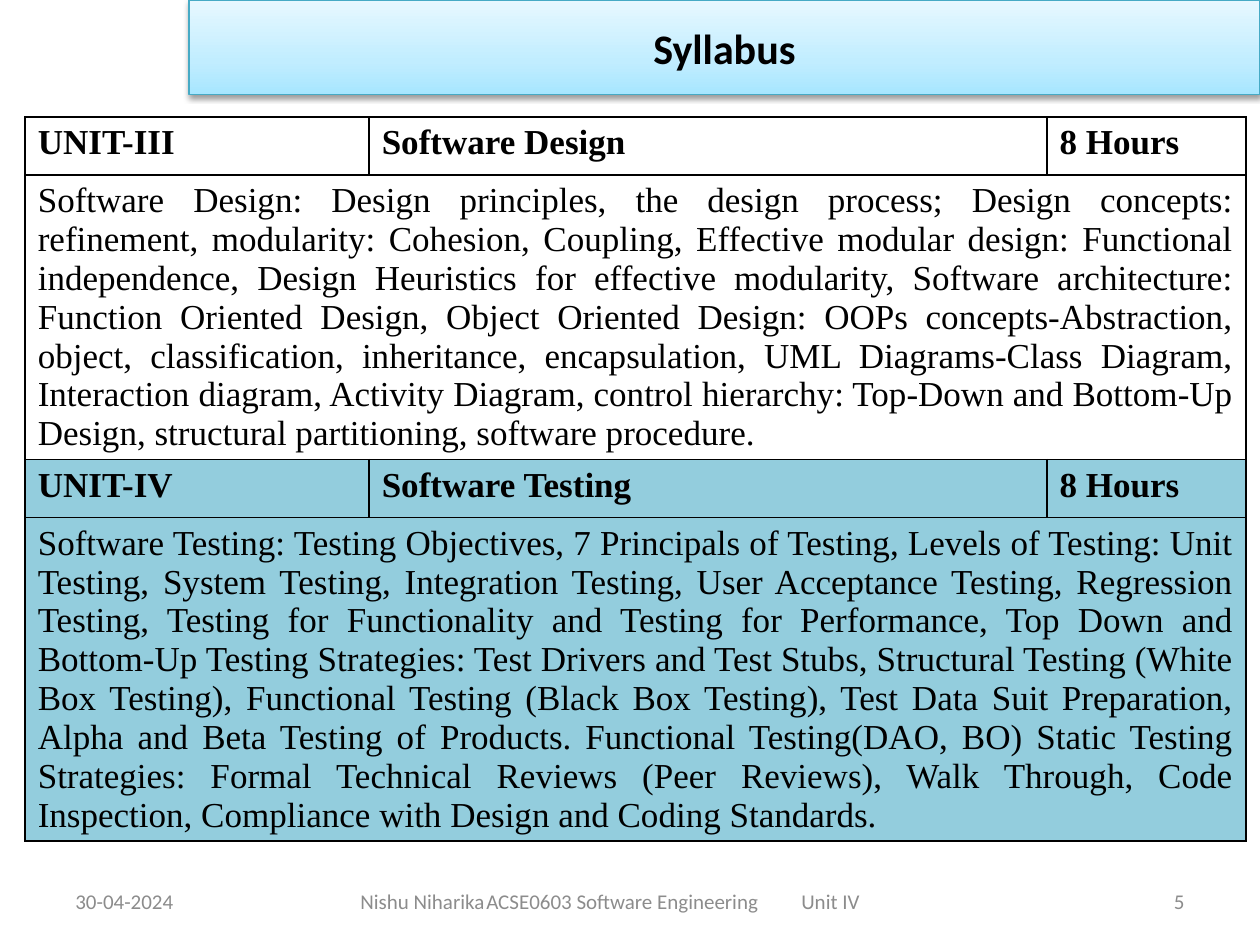
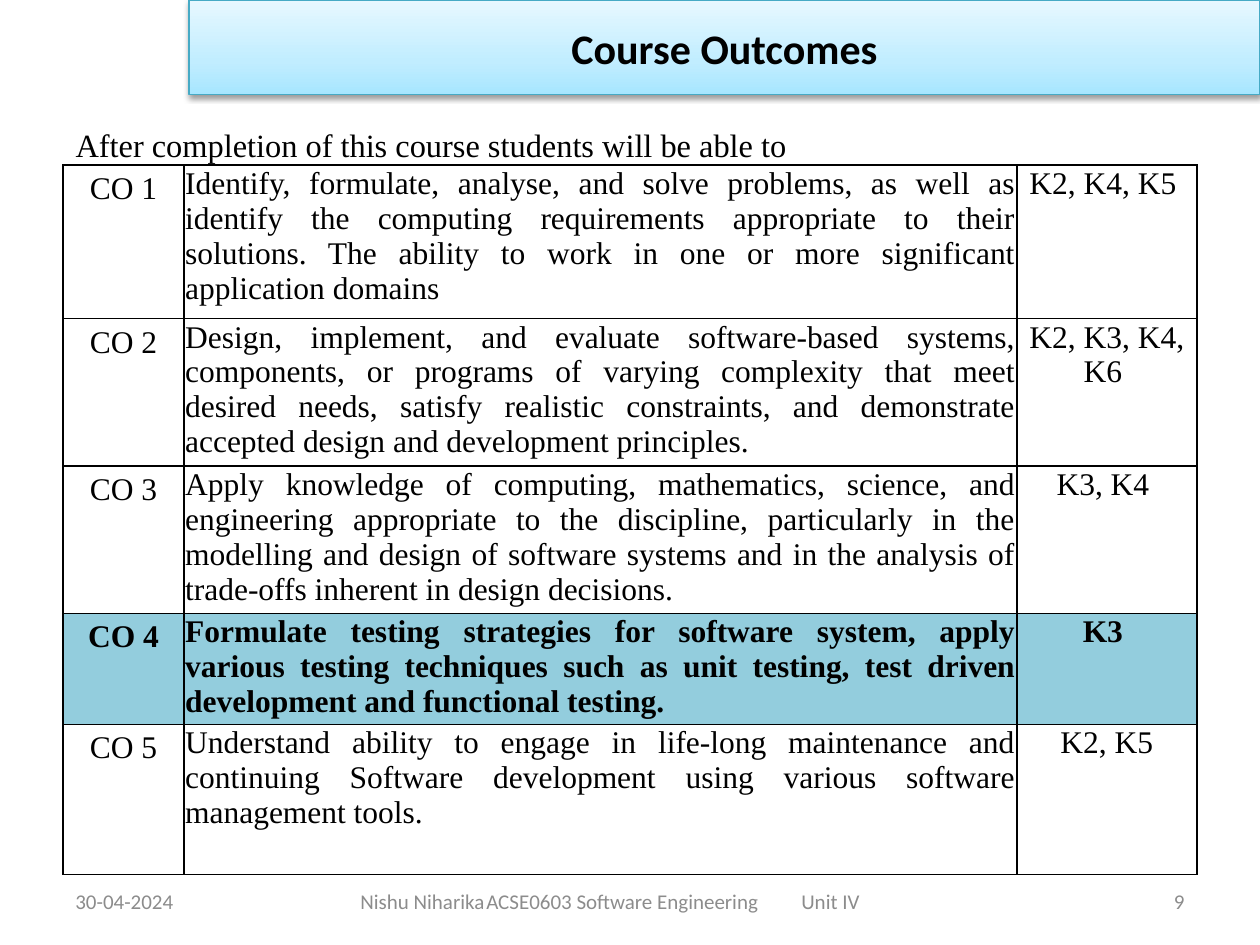
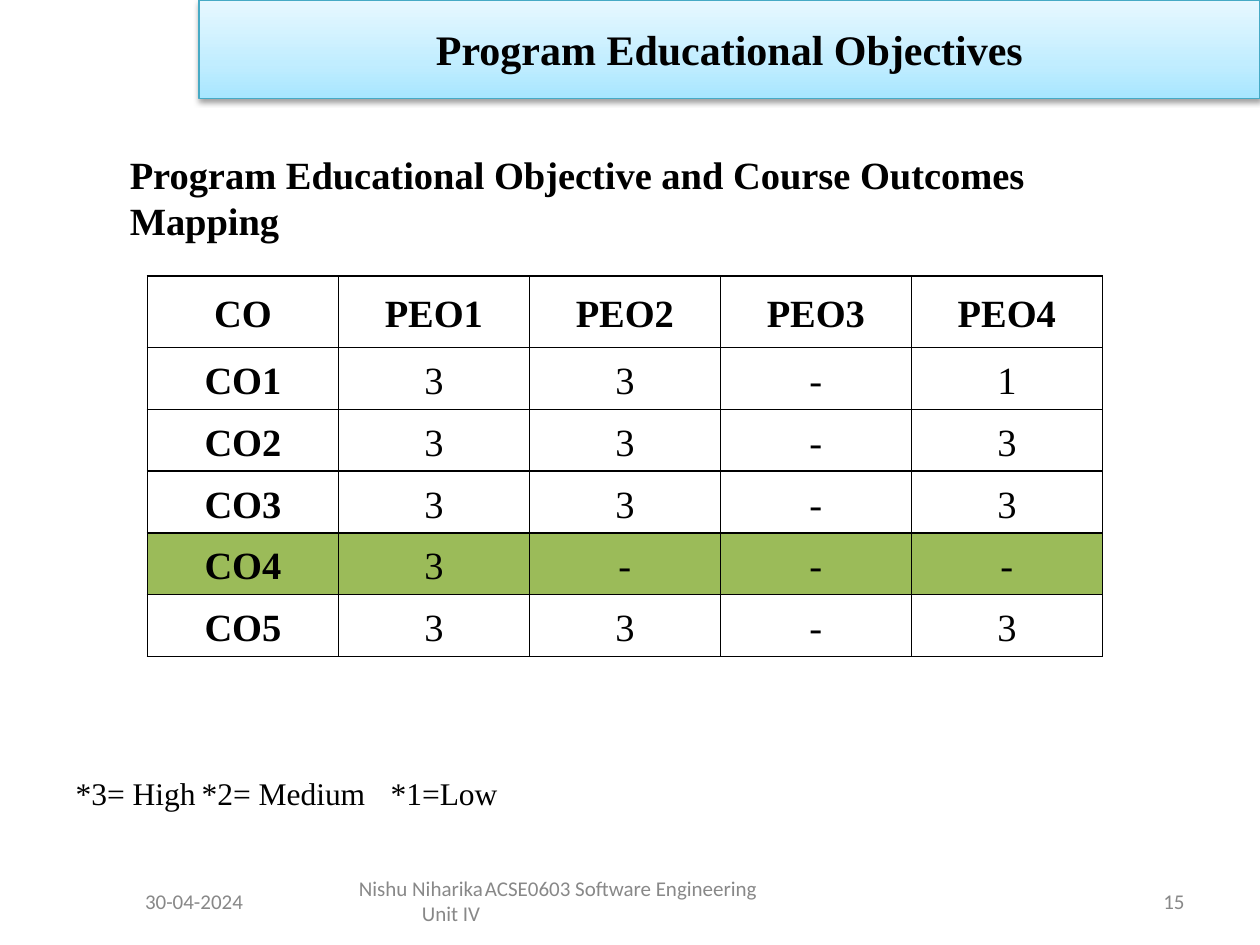
"""Build three course slides: syllabus, course outcomes and objectives mapping."""
from pptx import Presentation, util as u
from pptx.dml.color import RGBColor
from pptx.enum import text
from pptx.oxml import parse_xml
from pptx.oxml.ns import nsdecls

SERIF, SANS = "Times New Roman", "Calibri"
BLACK, WHITE, GREY, TEAL, GREEN = "000000", "FFFFFF", "8C8C8C", "93CDDD", "9BBB59"
BAND_STOPS = [(0, "A7E6FF"), (35, "C1EDFF"), (100, "E7F8FF")]
BAND_LINE = "46AAC5"
COLUMNS, ROWS = 100, 75
LEFT, CENTER, RIGHT, JUSTIFY = (text.PP_ALIGN.LEFT, text.PP_ALIGN.CENTER,
                                text.PP_ALIGN.RIGHT, text.PP_ALIGN.JUSTIFY)
TOP, MIDDLE = text.MSO_ANCHOR.TOP, text.MSO_ANCHOR.MIDDLE
INSETS = (0.1, 0.05, 0.1, 0.05)
TIGHT = (0.01, 0.01, 0.01, 0)


def rgb(value):
    return RGBColor.from_string(value)


def element(tag, attributes="", inner=""):
    return parse_xml(f"<a:{tag} {nsdecls('a')} {attributes}>{inner}</a:{tag}>")


def solid(colour, inner=""):
    return f'<a:srgbClr val="{colour}">{inner}</a:srgbClr>'


def write(tf, content, size=18, font=SERIF, colour=BLACK, bold=False, align=LEFT,
          spacing=None, tabs=()):
    """Fill a text frame, one paragraph for each line of content."""
    for i, line in enumerate(content.split("\n")):
        p = tf.paragraphs[0] if i == 0 else tf.add_paragraph()
        pPr = p._p.get_or_add_pPr()
        pPr.set("marL", "0")
        pPr.set("indent", "0")
        pPr.append(element("buNone"))
        if tabs:
            stops = "".join(f'<a:tab pos="{u.Inches(t)}" algn="l"/>' for t in tabs)
            pPr.append(element("tabLst", inner=stops))
        p.alignment, p.space_before = align, u.Pt(0)
        if spacing:
            p.line_spacing = spacing
        r = p.add_run()
        r.text = line
        r.font.size, r.font.name, r.font.bold = u.Pt(size), font, bold
        r.font.color.rgb = rgb(colour)


class Deck:
    """Shared style and the slide being built, on a grid of 100 columns by 75 rows."""

    def __init__(self):
        self.prs = Presentation()
        self.prs.slide_width, self.prs.slide_height = u.Inches(10), u.Inches(7.5)
        self.col = self.prs.slide_width / COLUMNS
        self.row = self.prs.slide_height / ROWS

    def slide(self, layout="Title Only"):
        self.s = self.prs.slides.add_slide(self.prs.slide_layouts.get_by_name(layout))

    def box(self, at):
        x, y, w, h = at
        return [round(v) for v in (x * self.col, y * self.row, w * self.col, h * self.row)]

    def fill_frame(self, sp, content, anchor=MIDDLE, insets=INSETS, **fmt):
        tf = sp.text_frame
        tf.word_wrap, tf.auto_size = True, text.MSO_AUTO_SIZE.NONE
        tf.vertical_anchor = anchor
        tf.margin_left, tf.margin_top, tf.margin_right, tf.margin_bottom = map(u.Inches, insets)
        write(tf, content, **fmt)

    def text(self, at, content, **fmt):
        self.fill_frame(self.s.shapes.add_textbox(*self.box(at)), content, **fmt)

    def placeholder(self, sp, at, content, **fmt):
        sp.left, sp.top, sp.width, sp.height = self.box(at)
        self.fill_frame(sp, content, **fmt)

    def title(self, content, at=(15, 0, 85, 7.5), font=SANS):
        sp = self.s.shapes.title
        self.placeholder(sp, at, content, size=24, font=font, bold=True, align=CENTER)
        stops = "".join(f'<a:gs pos="{pos * 1000}">{solid(c)}</a:gs>' for pos, c in BAND_STOPS)
        spPr = sp._element.spPr
        spPr.append(element("prstGeom", 'prst="rect"', "<a:avLst/>"))
        spPr.append(element("gradFill", 'rotWithShape="1"',
                            f'<a:gsLst>{stops}</a:gsLst><a:lin ang="16200000" scaled="0"/>'))
        sp.line.color.rgb, sp.line.width = rgb(BAND_LINE), u.Pt(0.75)
        shade = solid(BLACK, '<a:alpha val="38000"/>')
        spPr.append(element("effectLst", inner='<a:outerShdw blurRad="40000" dist="20000" '
                            f'dir="5400000" rotWithShape="0">{shade}</a:outerShdw>'))

    def body(self, at, content, **fmt):
        self.placeholder(self.s.placeholders[1], at, content, anchor=TOP, **fmt)

    def footer(self, number, wide=True):
        style = dict(size=12, font=SANS, colour=GREY if wide else "888888")
        course = "Nishu Niharika\tACSE0603 Software Engineering"
        y, h = 69.5, 4
        if wide:
            self.text((5, y, 23.3, h), "30-04-2024", **style)
            self.text((27.5, y, 55, h), course + "\tUnit IV", insets=(0.11, 0.05, 0.1, 0.05),
                      tabs=(1.44, 4.57), **style)
        else:
            self.text((-2.5, y, 35.8, h), "30-04-2024", align=CENTER, **style)
            self.text((27.5, y, 45.8, h), course + "\n\tUnit IV", tabs=(0.19, 1.43), **style)
        self.text((71.7, y, 23.3, h), str(number), align=RIGHT, **style)

    def table(self, at, widths, heights, data, look):
        """Add a table; a one-item row spans it, and look(row, column) gives a cell's format."""
        x, y = at
        frame = self.s.shapes.add_table(len(heights), len(widths),
                                        *self.box((x, y, sum(widths), sum(heights))))
        table = frame.table
        table.first_row = table.horz_banding = False
        for column, w in zip(table.columns, widths):
            column.width = round(w * self.col)
        for row, h in zip(table.rows, heights):
            row.height = round(h * self.row)
        for i, values in enumerate(data):
            if len(values) == 1:
                table.cell(i, 0).merge(table.cell(i, len(widths) - 1))
            for j in range(len(widths)):
                value = values[j] if j < len(values) else None
                self.cell(table.cell(i, j), value, **look(i, j))

    def cell(self, cell, content, fill=WHITE, anchor=TOP, insets=INSETS, **fmt):
        tcPr = cell._tc.get_or_add_tcPr()
        for side in "LRTB":
            tcPr.append(element(f"ln{side}", f'w="{u.Pt(1)}"',
                                f"<a:solidFill>{solid(BLACK)}</a:solidFill>"))
        cell.fill.solid()
        cell.fill.fore_color.rgb = rgb(fill)
        cell.vertical_anchor = anchor
        cell.margin_left, cell.margin_top, cell.margin_right, cell.margin_bottom = map(
            u.Inches, insets)
        if content is not None:
            write(cell.text_frame, content, **fmt)


SYLLABUS = [
    ["UNIT-III", "Software Design", "8 Hours"],
    ["Software Design: Design principles, the design process; Design concepts: refinement, "
     "modularity: Cohesion, Coupling, Effective modular design: Functional independence, "
     "Design Heuristics for effective modularity, Software architecture: Function Oriented "
     "Design, Object Oriented Design: OOPs concepts-Abstraction, object, classification, "
     "inheritance, encapsulation, UML Diagrams-Class Diagram, Interaction diagram, Activity "
     "Diagram, control hierarchy: Top-Down and Bottom-Up Design, structural partitioning, "
     "software procedure. "],
    ["UNIT-IV", "Software Testing", "8 Hours"],
    ["Software Testing: Testing Objectives, 7 Principals of Testing, Levels of Testing: Unit "
     "Testing, System Testing, Integration Testing, User Acceptance Testing, Regression "
     "Testing, Testing for Functionality and Testing for Performance, Top Down and Bottom-Up "
     "Testing Strategies: Test Drivers and Test Stubs, Structural Testing (White Box "
     "Testing), Functional Testing (Black Box Testing), Test Data Suit Preparation, Alpha "
     "and Beta Testing of Products. Functional Testing(DAO, BO) Static Testing Strategies: "
     "Formal Technical Reviews (Peer Reviews), Walk Through, Code Inspection, Compliance "
     "with Design and Coding Standards. "],
]
OUTCOMES = [
    ["CO 1", "Identify, formulate, analyse, and solve problems, as well as identify the "
     "computing requirements appropriate to their solutions. The ability to work in one or "
     "more significant application domains ", "K2, K4, K5 "],
    ["CO 2", "Design, implement, and evaluate software-based systems, components, or "
     "programs of varying complexity that meet desired needs, satisfy realistic constraints, "
     "and demonstrate accepted design and development principles.", "K2, K3, K4, K6 "],
    ["CO 3", "Apply knowledge of computing, mathematics, science, and engineering "
     "appropriate to the discipline, particularly in the modelling and design of software "
     "systems and in the analysis of trade-offs inherent in design decisions.", "K3, K4 "],
    ["CO 4", "Formulate testing strategies for software system, apply various testing "
     "techniques such as unit testing, test driven development and functional testing.", "K3 "],
    ["CO 5", "Understand ability to engage in life-long maintenance and continuing Software "
     "development using various software management tools. ", "K2, K5"],
]
MAPPING = [
    ["CO", "PEO1", "PEO2", "PEO3", "PEO4"],
    ["CO1", "3", "3", "-", "1"],
    ["CO2", "3", "3", "-", "3"],
    ["CO3", "3", "3", "-", "3"],
    ["CO4", "3", "-", "-", "-"],
    ["CO5", "3", "3", "-", "3"],
]


def syllabus_look(i, j):
    return dict(size=20, bold=i % 2 == 0, align=JUSTIFY, fill=TEAL if i >= 2 else WHITE)


def outcome_look(i, j):
    current = i == 3
    return dict(bold=current, fill=TEAL if current else WHITE,
                align=JUSTIFY if j == 1 else CENTER, insets=TIGHT if j else INSETS)


def mapping_look(i, j):
    return dict(size=22, bold=i == 0 or j == 0, align=CENTER, spacing=1.15, anchor=MIDDLE,
                insets=(0.07, 0, 0.07, 0), fill=GREEN if i == 4 else WHITE)


def main():
    deck = Deck()

    deck.slide()
    deck.title("Syllabus")
    deck.footer(5)
    deck.table((2, 9.3), [27.3, 53.8, 15.8], [4.6, 20.2, 4.6, 23.9], SYLLABUS, syllabus_look)

    deck.slide("Title and Content")
    deck.title("Course Outcomes")
    deck.footer(9)
    deck.body((5, 9.4, 90, 3.6), "After completion of this course students will be able to ",
              size=18.5, align=JUSTIFY)
    deck.table((5, 13.1), [9.6, 66.1, 14.3], [12.2, 11.7, 11.7, 8.8, 11.9],
               OUTCOMES, outcome_look)

    deck.slide()
    deck.title("Program Educational Objectives", at=(15.8, 0, 84.2, 7.8), font=SERIF)
    deck.footer(15, wide=False)
    deck.text((7.3, 11.5, 85.2, 7.9), "Program Educational Objective and Course Outcomes Mapping",
              size=22, bold=True, anchor=TOP, insets=(0.3, 0.05, 0.1, 0))
    deck.table((11.7, 21.9), [15.16] * 5, [5.7] + [4.9] * 5, MAPPING, mapping_look)
    deck.text((0, 60.9, 97.7, 4), "*3= High\t*2= Medium\t*1=Low",
              insets=(0.6, 0.05, 0.1, 0.05), tabs=(2.5, 5.5))

    deck.prs.save("out.pptx")


if __name__ == "__main__":
    main()
